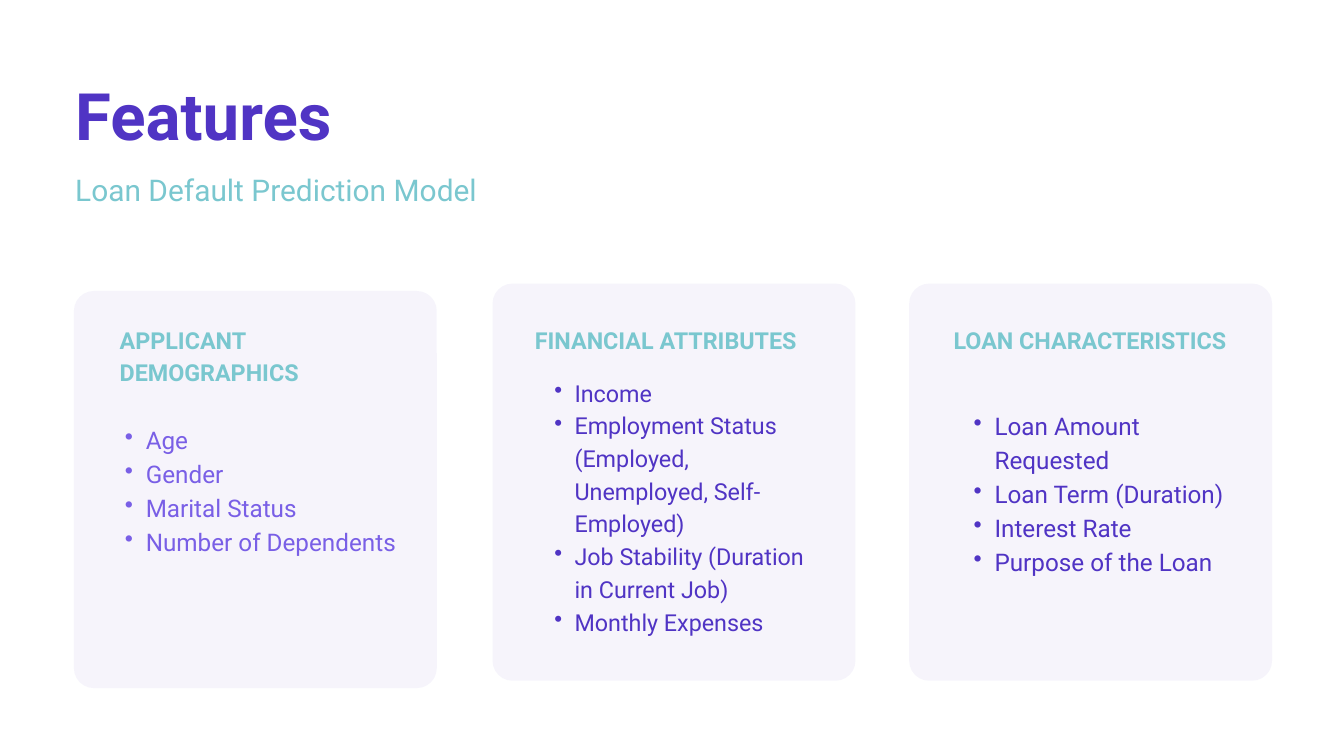
import pptx
import pptx.dml.color
import pptx.enum.shapes
import pptx.enum.text
import pptx.oxml.ns
import pptx.util
from lxml import etree

RGBColor = pptx.dml.color.RGBColor
INDIGO = RGBColor(0x50, 0x34, 0xC4)
VIOLET = RGBColor(0x79, 0x5F, 0xE6)
TEAL = RGBColor(0x7A, 0xC7, 0xCF)
WHITE = RGBColor(0xFF, 0xFF, 0xFF)

FONT = "Roboto"
COLS, ROWS = 200, 112.5
CELL = pptx.util.Inches(0.1)
CARD_W, CARD_H = 54, 59.1
HEAD_ROW = 47.8

CARDS = [
    dict(box=(11, 43.3), head="APPLICANT DEMOGRAPHICS", inset=6.8,
         list_at=(4.6, 19.3, 45.4, 19.8), size=26, indent=6.1, hang=3.1, color=VIOLET,
         items=["Age", "Gender", "Marital Status", "Number of Dependents"]),
    dict(box=(73.3, 42.2), head="FINANCIAL ATTRIBUTES", inset=6.3,
         list_at=(6.3, 13.5, 40.8, 52.4), size=25, indent=5.9, hang=3, color=INDIGO,
         items=["Income",
                "Employment Status (Employed, Unemployed, Self-Employed)",
                "Job Stability (Duration in Current Job)",
                "Monthly Expenses"]),
    dict(box=(135.3, 42.2), head="LOAN CHARACTERISTICS", inset=6.6,
         list_at=(6.6, 18.3, 40.8, 34.7), size=26, indent=6.1, hang=3.1, color=INDIGO,
         items=["Loan Amount Requested", "Loan Term (Duration)",
                "Interest Rate", "Purpose of the Loan"]),
]


def span(*cells):
    return [round(n * CELL) for n in cells]


def add_text(slide, box, lines, size, color, ratio, bold=False):
    frame = slide.shapes.add_textbox(*span(*box)).text_frame
    frame.word_wrap = True
    frame.auto_size = pptx.enum.text.MSO_AUTO_SIZE.SHAPE_TO_FIT_TEXT
    frame.margin_left = frame.margin_right = 0
    frame.margin_top = frame.margin_bottom = 0
    frame.text = "\n".join(lines)
    for para in frame.paragraphs:
        para.line_spacing = pptx.util.Pt(round(size * ratio, 1))
        para.font.name = FONT
        para.font.size = pptx.util.Pt(size)
        para.font.bold = bold
        para.font.color.rgb = color
    return frame


def add_bullets(frame, indent, hang):
    left, pull = span(indent, hang)
    for para in frame.paragraphs:
        para.level = 1
        props = para._p.get_or_add_pPr()
        props.set("marL", str(left))
        props.set("indent", str(-pull))
        mark = etree.Element(pptx.oxml.ns.qn("a:buChar"), char="•")
        props.insert_element_before(mark, "a:tabLst", "a:defRPr", "a:extLst")


def add_panel(slide, box):
    kind = pptx.enum.shapes.MSO_SHAPE.ROUNDED_RECTANGLE
    panel = slide.shapes.add_shape(kind, *span(*box))
    panel.adjustments[0] = 0.055
    panel.shadow.inherit = False
    panel.line.fill.background()
    panel.fill.solid()
    panel.fill.fore_color.rgb = INDIGO
    tint = panel._element.spPr.find(".//" + pptx.oxml.ns.qn("a:srgbClr"))
    etree.SubElement(tint, pptx.oxml.ns.qn("a:alpha"), val="5000")


def add_card(slide, box, head, inset, list_at, size, indent, hang, color, items):
    left, top = box
    across, down, wide, high = list_at
    add_panel(slide, (left, top, CARD_W, CARD_H))
    add_text(slide, (left + inset, HEAD_ROW, 40.8, 9.3), [head], 25, TEAL, 1.4, True)
    frame = add_text(slide, (left + across, top + down, wide, high),
                     items, size, color, 1.4)
    add_bullets(frame, indent, hang)


def add_header(slide, box):
    left, top, wide = box
    add_text(slide, (left, top, wide, 11.6), ["Features"], 70, INDIGO, 1.2, True)
    add_text(slide, (left, top + 14.3, wide, 5.4),
             ["Loan Default Prediction Model"], 32, TEAL, 1.2)


def main():
    deck = pptx.Presentation()
    deck.slide_width, deck.slide_height = span(COLS, ROWS)
    slide = deck.slides.add_slide(deck.slide_layouts[6])
    slide.background.fill.solid()
    slide.background.fill.fore_color.rgb = WHITE
    add_header(slide, (11.2, 11.2, 149.3))
    for card in CARDS:
        add_card(slide, **card)
    deck.save("out.pptx")


if __name__ == "__main__":
    main()
